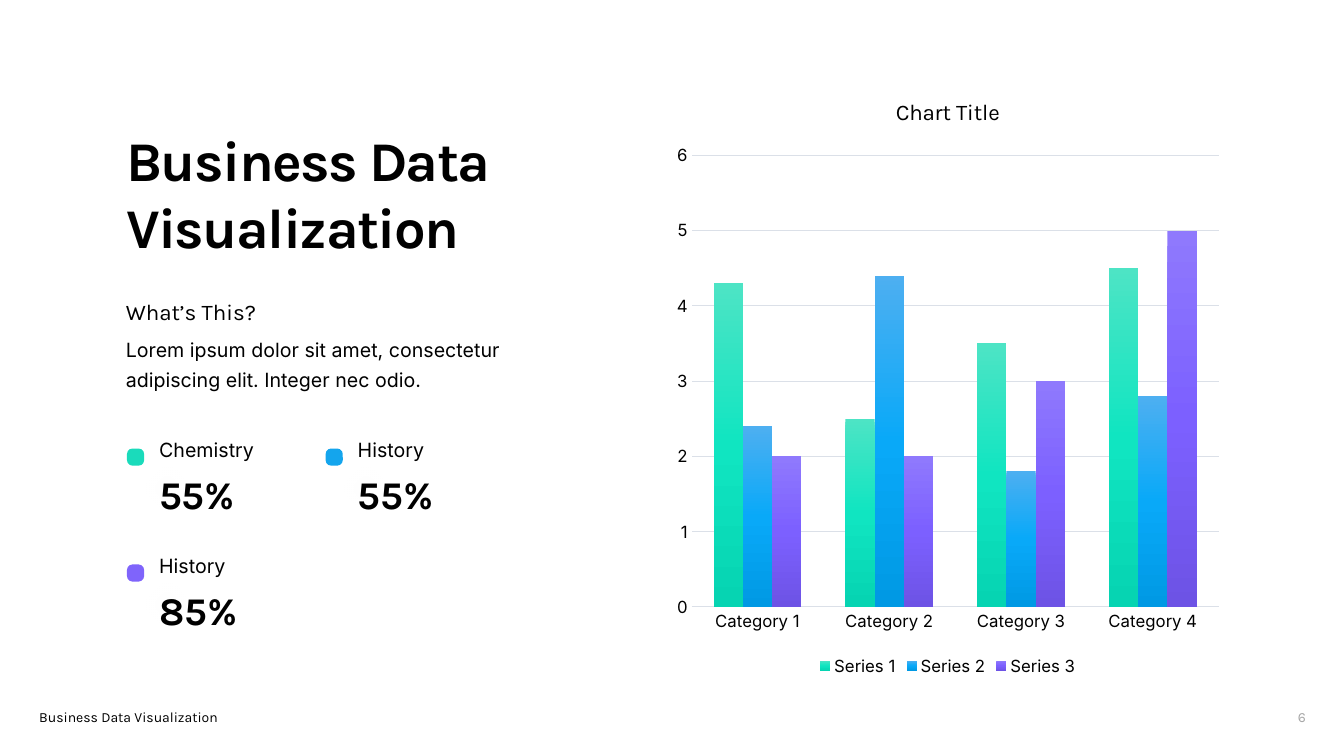
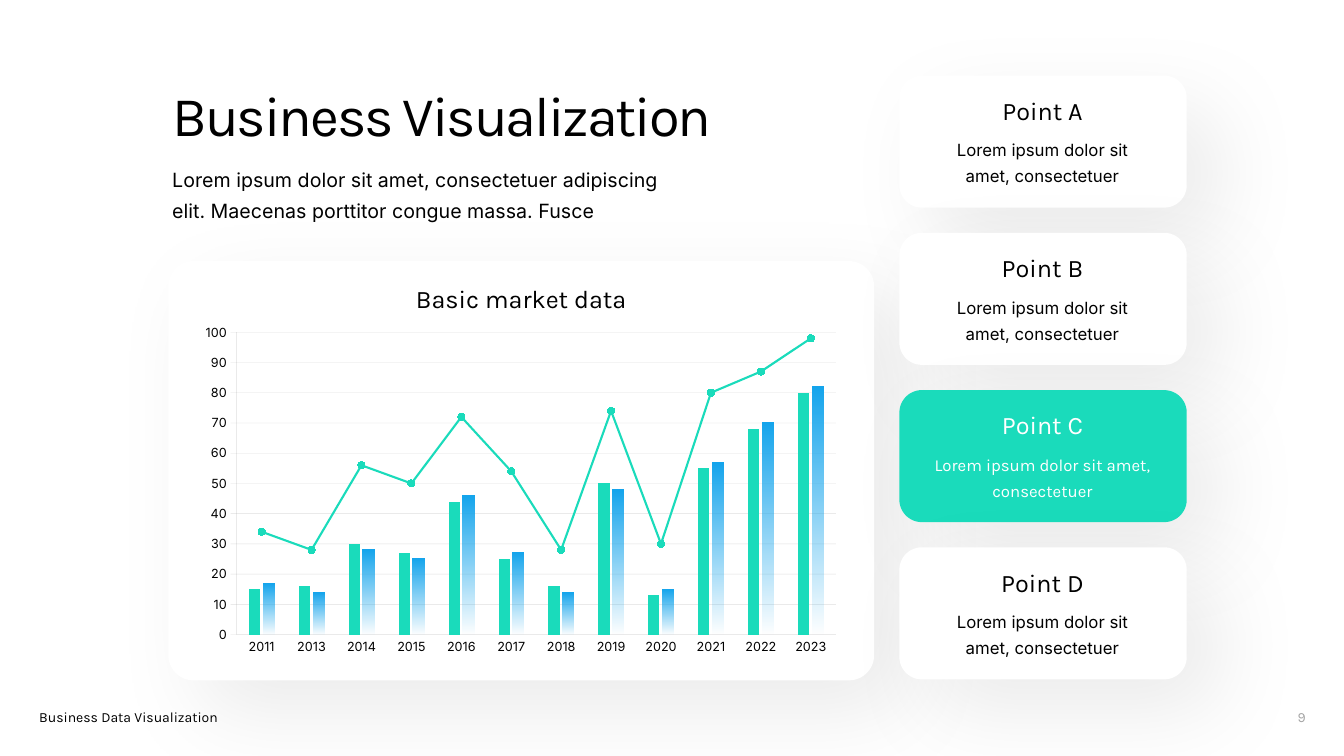
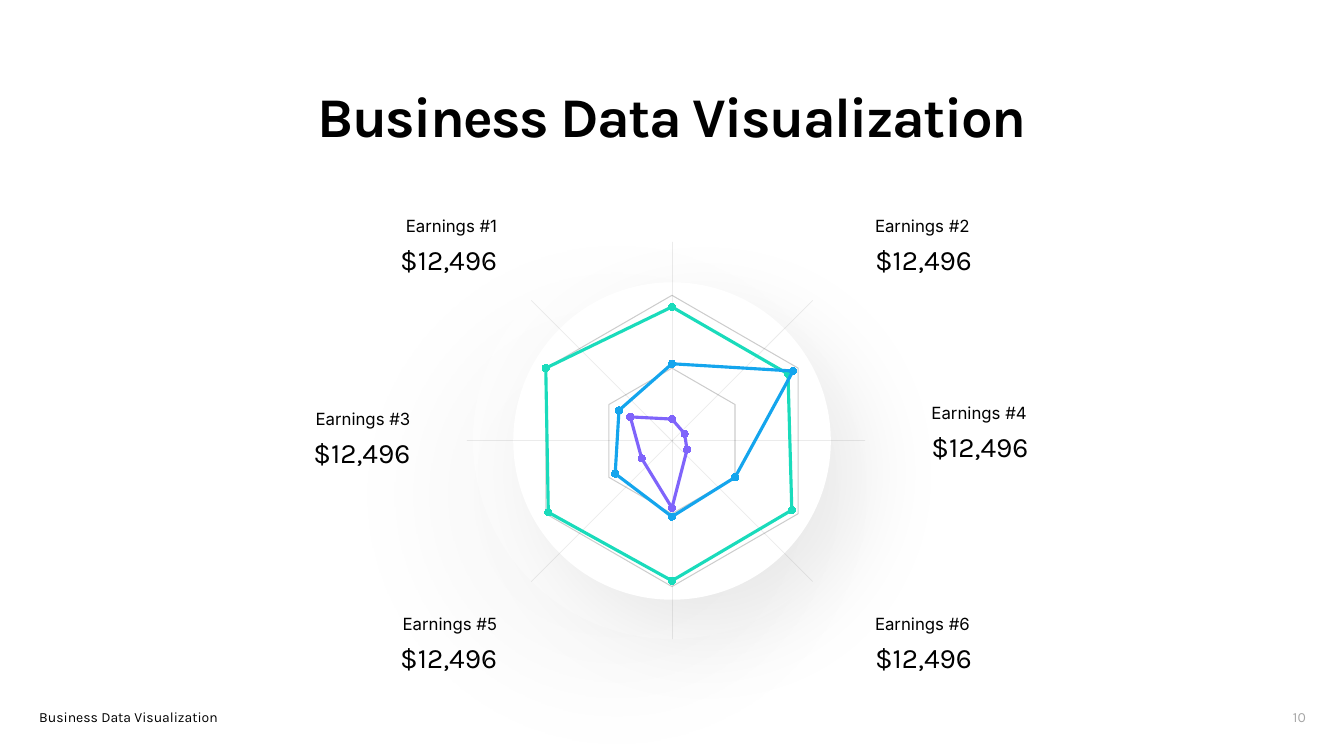
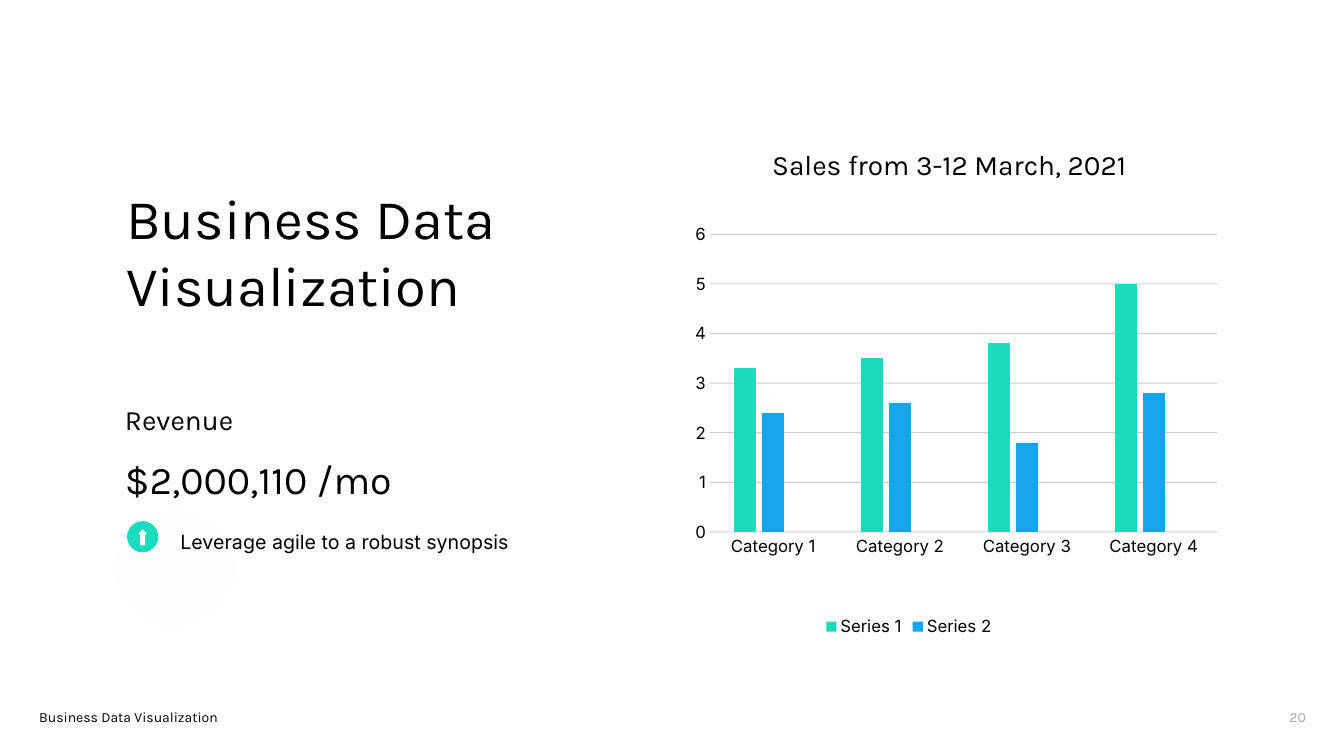
import dataclasses

import pptx
import pptx.chart.data
import pptx.dml.color
import pptx.enum.chart
import pptx.enum.shapes
import pptx.enum.text
import pptx.oxml
import pptx.oxml.ns
import pptx.util

Inches, Pt = pptx.util.Inches, pptx.util.Pt
MSO = pptx.enum.shapes.MSO_SHAPE
ALIGN = pptx.enum.text.PP_ALIGN
XL = pptx.enum.chart
LEFT, CENTER, RIGHT = ALIGN.LEFT, ALIGN.CENTER, ALIGN.RIGHT


@dataclasses.dataclass(frozen=True)
class Theme:
    # Fonts
    head: str = "Karla"
    body: str = "Inter"
    # Colours
    black: str = "000000"
    white: str = "FFFFFF"
    gray: str = "A6A6A6"
    grid: str = "DBE0E8"
    green: str = "1ADBBB"
    blue: str = "14A5ED"
    purple: str = "7F64FB"
    # Gradient stops: position, colour, opacity
    green_fade: tuple = ((0, "4DE4C5", 100), (50, "10E5C1", 100), (100, "06D4B2", 100))
    blue_fade: tuple = ((0, "4DAFF1", 100), (50, "09A9F8", 100), (100, "0099E4", 100))
    purple_fade: tuple = ((0, "8F79FD", 100), (50, "7C60FF", 100), (100, "6D53E5", 100))
    blue_clear: tuple = ((0, "14A5ED", 100), (100, "14A5ED", 0))
    # Shadow: opacity, blur, distance, angle
    soft: tuple = (8, 64, 32, 45)
    halo: tuple = (5, 64, 55, 135)
    # Type sizes
    title: int = 40
    figure: int = 28
    large: int = 20
    card: int = 18
    sub: int = 16
    text: int = 14
    small: int = 12
    footer: int = 10
    tick: int = 9


T = Theme()
FOOTER = "Business Data Visualization"


def rgb(color):
    return pptx.dml.color.RGBColor.from_string(color)


def xml(tag, attrs="", inner=""):
    ns = pptx.oxml.ns.nsdecls("a", "c")
    return pptx.oxml.parse_xml(f"<{tag} {ns} {attrs}>{inner}</{tag}>")


def set_alpha(element, query, percent):
    for clr in element.xpath(query):
        clr.append(xml("a:alpha", f'val="{percent * 1000}"'))


def set_line(line, color, width):
    line.color.rgb = rgb(color)
    line.width = Pt(width)


def set_font(font, size, name=T.body, color=T.black, bold=False):
    font.name, font.size, font.bold = name, Pt(size), bold
    font.color.rgb = rgb(color)


def fill_series(ser, fill):
    """Fill bars with one colour or with a vertical gradient."""
    if isinstance(fill, str):
        ser.format.fill.solid()
        ser.format.fill.fore_color.rgb = rgb(fill)
        return
    stops = "".join(
        f'<a:gs pos="{pos * 1000}"><a:srgbClr val="{color}"><a:alpha val="{a * 1000}"/>'
        "</a:srgbClr></a:gs>" for pos, color, a in fill)
    grad = xml("a:gradFill", "", f'<a:gsLst>{stops}</a:gsLst><a:lin ang="5400000" scaled="0"/>')
    ser._element.get_or_add_spPr().insert(0, grad)


def line_markers(ser, color, width, marker_color):
    set_line(ser.format.line, color, width)
    ser.marker.style = XL.XL_MARKER_STYLE.CIRCLE
    ser.marker.size = 5
    ser.marker.format.fill.solid()
    ser.marker.format.fill.fore_color.rgb = rgb(marker_color)
    ser.marker.format.line.fill.background()


class Deck:
    def __init__(self):
        self.prs = pptx.Presentation()
        self.prs.slide_width, self.prs.slide_height = Inches(13.33), Inches(7.5)
        self.s = None

    # Slide, title and footer
    def slide(self, number, title, x, y, w, h=0.77, bold=False, spc=0, align=LEFT):
        self.s = self.prs.slides.add_slide(self.prs.slide_layouts[5])
        sp = self.s.shapes.title
        sp.left, sp.top, sp.width, sp.height = map(Inches, (x, y, w, h))
        r = self.fill_text(sp.text_frame, title, T.title, T.head, bold=bold, align=align)
        if spc:
            r.font._element.set("spc", str(spc))
        self.text(0.29, 6.98, 2.3, 0.27, FOOTER, T.footer, T.head)
        self.text(12.05, 6.98, 1, 0.27, str(number), T.footer, T.head, T.gray, align=RIGHT)

    # Text
    def fill_text(self, tf, content, size, font=T.body, color=T.black, bold=False,
                  align=LEFT, spacing=None, before=0, after=0):
        tf.word_wrap = True
        tf.auto_size = pptx.enum.text.MSO_AUTO_SIZE.NONE
        tf.vertical_anchor = pptx.enum.text.MSO_ANCHOR.TOP
        p = tf.paragraphs[0]
        p.alignment = align
        p.space_before, p.space_after = Pt(before), Pt(after)
        if spacing:
            p.line_spacing = spacing
        r = p.add_run()
        r.text = content
        set_font(r.font, size, font, color, bold)
        return r

    def text(self, x, y, w, h, content, size, font=T.body, color=T.black, **style):
        sp = self.s.shapes.add_textbox(*map(Inches, (x, y, w, h)))
        self.fill_text(sp.text_frame, content, size, font, color, **style)

    # Shapes and lines
    def shape(self, kind, x, y, w, h, fill, adj=(), shadow=None, alpha=None):
        sp = self.s.shapes.add_shape(kind, *map(Inches, (x, y, w, h)))
        for i, value in enumerate(adj):
            sp.adjustments[i] = value
        sp.fill.solid()
        sp.fill.fore_color.rgb = rgb(fill)
        sp.line.fill.background()
        sp.shadow.inherit = False
        spPr = sp._element.spPr
        if alpha:
            set_alpha(spPr, "a:solidFill/a:srgbClr", alpha)
        if shadow:
            opacity, blur, dist, angle = shadow
            spPr.find(pptx.oxml.ns.qn("a:effectLst")).append(xml(
                "a:outerShdw",
                f'blurRad="{Pt(blur)}" dist="{Pt(dist)}" dir="{angle * 60000}" rotWithShape="0"',
                f'<a:srgbClr val="{T.black}"><a:alpha val="{opacity * 1000}"/></a:srgbClr>'))

    def spoke(self, x1, y1, x2, y2):
        cn = self.s.shapes.add_connector(
            pptx.enum.shapes.MSO_CONNECTOR.STRAIGHT, *map(Inches, (x1, y1, x2, y2)))
        set_line(cn.line, T.black, 0.5)
        spPr = cn._element.spPr
        set_alpha(spPr, "a:ln//a:srgbClr", 8)
        spPr.append(xml("a:effectLst"))

    # Charts
    def chart(self, kind, x, y, w, h, cats, values, size):
        data = pptx.chart.data.CategoryChartData()
        data.categories = cats
        for i, vals in enumerate(values, 1):
            data.add_series(f"Series {i}", vals)
        chart = self.s.shapes.add_chart(kind, *map(Inches, (x, y, w, h)), data).chart
        set_font(chart.font, size)
        chart.has_title = chart.has_legend = False
        chart.plots[0].vary_by_categories = False
        return chart

    def columns(self, x, y, w, h, cats, values, fills, size, gap, overlap, grid, axis):
        """grid and axis are (colour, width, opacity)."""
        chart = self.chart(XL.XL_CHART_TYPE.COLUMN_CLUSTERED, x, y, w, h, cats, values, size)
        plot = chart.plots[0]
        plot.gap_width, plot.overlap = gap, overlap
        for ser, fill in zip(plot.series, fills):
            fill_series(ser, fill)
            ser.invert_if_negative = False
        for ax in (chart.category_axis, chart.value_axis):
            set_font(ax.tick_labels.font, size)
            ax.major_tick_mark = ax.minor_tick_mark = XL.XL_TICK_MARK.NONE
            set_line(ax.format.line, *axis[:2])
            set_alpha(ax._element, "c:spPr//a:srgbClr", axis[2])
        self.gridlines(chart.value_axis, *grid)
        return chart

    def gridlines(self, axis, color, width, alpha):
        axis.has_major_gridlines = False
        axis.has_major_gridlines = True
        set_line(axis.major_gridlines.format.line, color, width)
        set_alpha(axis._element, "c:majorGridlines//a:srgbClr", alpha)

    def legend(self, chart):
        chart.has_legend = True
        chart.legend.position = XL.XL_LEGEND_POSITION.BOTTOM
        chart.legend.include_in_layout = False
        set_font(chart.legend.font, T.small)

    # Repeated groups
    def stat(self, x, y, color, label, value):
        self.shape(MSO.ROUNDED_RECTANGLE, x, y, 0.17, 0.17, color, (0.32,), T.soft)
        self.text(x + 0.22, y - 0.2, 1.9, 0.36, label, T.text, spacing=1.2)
        self.text(x + 0.22, y + 0.07, 1.32, 0.63, value, T.figure, T.head, bold=True, spacing=1.2)

    def card(self, y, name, fill, color, font):
        self.shape(MSO.ROUNDED_RECTANGLE, 8.92, y, 2.85, 1.31, fill, (0.17,), T.soft)
        self.text(9.72, y + 0.18, 1.24, 0.37, name, T.card, T.head, color,
                  align=CENTER, spacing=0.9)
        self.text(9.16, y + 0.53, 2.36, 0.6, "Lorem ipsum dolor sit amet, consectetuer",
                  T.small, font, color, align=CENTER, spacing=1.3)

    def earning(self, x, y, label, align):
        self.text(x, y, 1.55, 0.28, label, T.small, align=align, spacing=0.9)
        self.text(x, y + 0.28, 1.55, 0.4, "$12,496", T.large, T.head, align=align, spacing=0.9)


CATEGORIES = [f"Category {i}" for i in range(1, 5)]


def data_slide(d):
    d.slide(6, "Business Data Visualization", 1.15, 1.19, 4.9, 1.45, bold=True, spc=-110)
    d.text(1.15, 2.91, 3.61, 0.37, "What’s This?", T.sub, T.head)
    d.text(1.15, 3.23, 4.57, 0.68,
           "Lorem ipsum dolor sit amet, consectetur adipiscing elit. Integer nec odio.",
           T.text, spacing=1.3, before=6)
    for x, y, color, label, value in ((1.26, 4.45, T.green, "Chemistry", "55%"),
                                      (3.23, 4.45, T.blue, "History", "55%"),
                                      (1.26, 5.6, T.purple, "History", "85%")):
        d.stat(x, y, color, label, value)

    line = (T.grid, 0.75, 100)
    chart = d.columns(6.6, 0.76, 5.6, 5.99, CATEGORIES,
                      [(4.3, 2.5, 3.5, 4.5), (2.4, 4.4, 1.8, 2.8), (2, 2, 3, 5)],
                      (T.green_fade, T.blue_fade, T.purple_fade), T.small, 150, 0, line, line)
    chart.value_axis.format.line.fill.background()
    d.legend(chart)
    chart.has_title = True
    r = chart.chart_title.text_frame.paragraphs[0].add_run()
    r.text = "Chart Title"
    set_font(r.font, T.sub, T.head)
    chart.chart_title.include_in_layout = False


def market_slide(d):
    d.slide(9, "Business Visualization", 1.61, 0.75, 5.96, spc=-150)
    d.text(1.61, 1.55, 5.03, 0.68, "Lorem ipsum dolor sit amet, consectetuer adipiscing elit. "
           "Maecenas porttitor congue massa. Fusce", T.text, spacing=1.3)

    # Chart panel
    d.shape(MSO.ROUNDED_RECTANGLE, 1.67, 2.59, 7, 4.16, T.white, (0.06,), T.soft)
    line = (T.gray, 0.25, 35)
    years = ["2011"] + [str(year) for year in range(2013, 2024)]
    chart = d.columns(1.91, 3.15, 6.51, 3.41, years,
                      [(15, 16, 30, 27, 44, 25, 16, 50, 13, 55, 68, 80),
                       (17, 14, 28, 25, 46, 27, 14, 48, 15, 57, 70, 82),
                       (34, 28, 56, 50, 72, 54, 28, 74, 30, 80, 87, 98)],
                      (T.green, T.blue_clear), T.tick, 219, -27, line, line)
    chart.value_axis.maximum_scale = 100
    chart.value_axis.major_tick_mark = XL.XL_TICK_MARK.OUTSIDE

    # Third series becomes a line on the same axes
    bars = chart._chartSpace.xpath("//c:barChart")[0]
    ser = bars.xpath("c:ser")[2]
    for el in ser.xpath("c:invertIfNegative"):
        ser.remove(el)
    axes = "".join(f'<c:axId val="{el.get("val")}"/>' for el in bars.xpath("c:axId"))
    lines = xml("c:lineChart", "", '<c:grouping val="standard"/><c:varyColors val="0"/>'
                f'<c:marker val="1"/>{axes}')
    lines.insert(2, ser)
    bars.addnext(lines)
    trend = chart.plots[1].series[0]
    line_markers(trend, T.green, 1.5, T.blue)
    trend.smooth = False
    d.text(3.7, 2.67, 2.94, 0.46, "Basic market data", T.card, T.head,
           align=CENTER, spacing=1.3, after=6)

    # Cards
    for i, letter in enumerate("ABCD"):
        look = (T.green, T.white, T.head) if letter == "C" else (T.white, T.black, T.body)
        d.card(0.75 + i * 1.56, f"Point {letter}", *look)


def earnings_slide(d):
    d.slide(10, "Business Data Visualization", 2.23, 0.76, 8.87, bold=True, spc=-110, align=CENTER)
    d.shape(MSO.OVAL, 4.69, 2.4, 3.94, 3.94, T.white, shadow=T.halo, alpha=40)
    d.shape(MSO.OVAL, 5.09, 2.8, 3.15, 3.15, T.white, shadow=T.soft)
    for ends in ((6.67, 2.4, 6.67, 6.34), (8.06, 5.77, 5.27, 2.98),
                 (8.06, 2.98, 5.27, 5.77), (8.58, 4.37, 4.63, 4.37)):
        d.spoke(*ends)

    chart = d.chart(XL.XL_CHART_TYPE.RADAR_MARKERS, 4.41, 2.87, 4.51, 3.01, list("123456"),
                    [(92, 92, 95, 96, 98, 100), (53, 96, 50, 52, 45, 42),
                     (15, 10, 12, 46, 24, 33)], T.footer)
    for ser, color in zip(chart.plots[0].series, (T.green, T.blue, T.purple)):
        line_markers(ser, color, 2.25, color)
    chart.category_axis.has_major_gridlines = False
    chart.category_axis.visible = chart.value_axis.visible = False
    d.gridlines(chart.value_axis, T.black, 0.75, 20)

    spots = ((3.48, 2.11), (8.58, 2.11), (2.62, 4.03), (9.14, 3.97), (3.48, 6.06), (8.58, 6.06))
    for i, (x, y) in enumerate(spots, 1):
        d.earning(x, y, f"Earnings #{i}", RIGHT if i % 2 else LEFT)


def revenue_slide(d):
    d.slide(20, "Business Data Visualization", 1.15, 1.77, 4.57, 1.45)
    d.text(1.14, 3.94, 2.71, 0.44, "Revenue", T.large, T.head, before=12)
    d.text(1.14, 4.47, 3.77, 0.57, "$2,000,110 /mo", T.figure, T.head, before=12)
    d.shape(MSO.OVAL, 1.26, 5.17, 0.31, 0.31, T.green, shadow=T.soft)
    d.shape(MSO.UP_ARROW, 1.37, 5.25, 0.09, 0.16, T.white, (0.55, 0.55))
    d.text(1.69, 5.14, 3.77, 0.38, "Leverage agile to a robust synopsis", T.text,
           spacing=1.3, before=12)

    # The third series is empty and has no legend entry
    chart = d.columns(5.83, 1.44, 6.37, 4.92, CATEGORIES,
                      [(3.3, 3.5, 3.8, 5), (2.4, 2.6, 1.8, 2.8), (None,) * 4],
                      (T.green, T.blue, T.purple), T.small, 219, -27,
                      (T.black, 0.75, 20), (T.white, 0.75, 20))
    chart.value_axis.format.line.fill.background()
    d.legend(chart)
    chart._chartSpace.xpath("//c:legendPos")[0].addnext(
        xml("c:legendEntry", "", '<c:idx val="2"/><c:delete val="1"/>'))
    area = chart._chartSpace.xpath("//c:plotArea")[0]
    for el in area.xpath("c:layout"):
        area.remove(el)
    place = (("layoutTarget", "inner"), ("xMode", "edge"), ("yMode", "edge"),
             ("x", 0.19), ("y", 0.18), ("w", 0.79), ("h", 0.6))
    inner = "".join(f'<c:{tag} val="{value}"/>' for tag, value in place)
    area.insert(0, xml("c:layout", "", f"<c:manualLayout>{inner}</c:manualLayout>"))
    d.text(7.44, 1.41, 3.95, 0.44, "Sales from 3-12 March, 2021", T.large, T.head,
           align=CENTER, before=12)


def main():
    d = Deck()
    for build in (data_slide, market_slide, earnings_slide, revenue_slide):
        build(d)
    d.prs.save("out.pptx")


if __name__ == "__main__":
    main()
